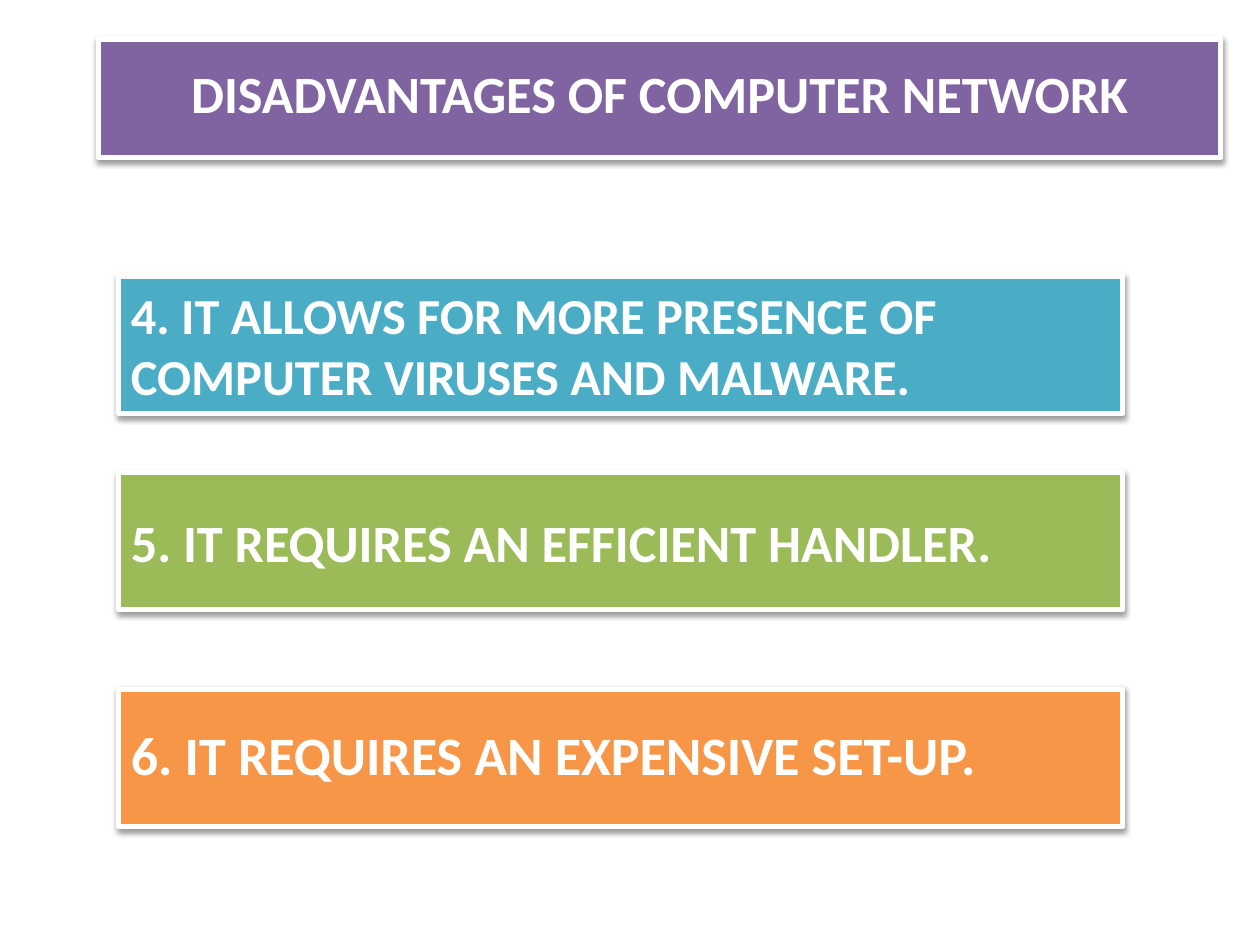
from lxml import etree
from pptx import Presentation
from pptx.dml.color import RGBColor
from pptx.enum.shapes import MSO_SHAPE
from pptx.enum.text import MSO_ANCHOR, MSO_AUTO_SIZE, PP_ALIGN
from pptx.oxml.ns import qn
from pptx.util import Inches, Pt

RECT = MSO_SHAPE.RECTANGLE
MIDDLE = MSO_ANCHOR.MIDDLE
FIXED = MSO_AUTO_SIZE.NONE
LEFT, CENTER = PP_ALIGN.LEFT, PP_ALIGN.CENTER

COLORS = {
    "white": "FFFFFF",
    "black": "000000",
    "purple": "8064A2",
    "teal": "4BACC6",
    "green": "9BBB59",
    "orange": "F79646",
}

POINTS = [
    (2.19, "teal", 28.8, 1.0,
     "4. IT ALLOWS FOR MORE PRESENCE OF COMPUTER VIRUSES AND MALWARE."),
    (3.75, "green", 29.9, 1.0, "5. IT REQUIRES AN EFFICIENT HANDLER."),
    (5.47, "orange", 30.9, 0.9, "6. IT REQUIRES AN EXPENSIVE SET-UP."),
]


class Deck:
    font = "Calibri"
    border = Pt(3)

    def __init__(self, slide):
        self.slide = slide

    def color(self, name):
        return RGBColor.from_string(COLORS[name])

    def shadow(self, shape):
        shape.shadow.inherit = False
        effects = shape._element.spPr.find(qn("a:effectLst"))
        outer = etree.SubElement(
            effects, qn("a:outerShdw"), blurRad=str(Pt(3.1)), dist=str(Pt(1.6)),
            dir="5400000", rotWithShape="0")
        tint = etree.SubElement(outer, qn("a:srgbClr"), val=COLORS["black"])
        etree.SubElement(tint, qn("a:alpha"), val="38000")

    def style(self, shape, fill):
        shape.fill.solid()
        shape.fill.fore_color.rgb = self.color(fill)
        shape.line.color.rgb = self.color("white")
        shape.line.width = self.border
        self.shadow(shape)

    def label(self, shape, text, size, spacing, align):
        frame = shape.text_frame
        frame.word_wrap = True
        frame.auto_size = FIXED
        frame.vertical_anchor = MIDDLE
        para = frame.paragraphs[0]
        para.alignment = align
        para.line_spacing = spacing
        run = para.add_run()
        run.text = text
        run.font.name = self.font
        run.font.size = Pt(size)
        run.font.bold = True
        run.font.color.rgb = self.color("white")

    def title(self, text):
        shape = self.slide.shapes.title
        shape.left, shape.top = Inches(0.78), Inches(0.31)
        shape.width, shape.height = Inches(8.91), Inches(0.94)
        self.style(shape, "purple")
        self.label(shape, text, 29.9, 0.8, CENTER)

    def bar(self, top, fill, size, spacing, text):
        shape = self.slide.shapes.add_shape(
            RECT, Inches(0.94), Inches(top), Inches(7.97), Inches(1.09))
        self.style(shape, fill)
        self.label(shape, text, size, spacing, LEFT)


def main():
    show = Presentation()
    show.slide_width, show.slide_height = Inches(10), Inches(7.5)
    deck = Deck(show.slides.add_slide(show.slide_layouts[5]))
    deck.title("DISADVANTAGES OF COMPUTER NETWORK")
    for point in POINTS:
        deck.bar(*point)
    show.save("out.pptx")


if __name__ == "__main__":
    main()
